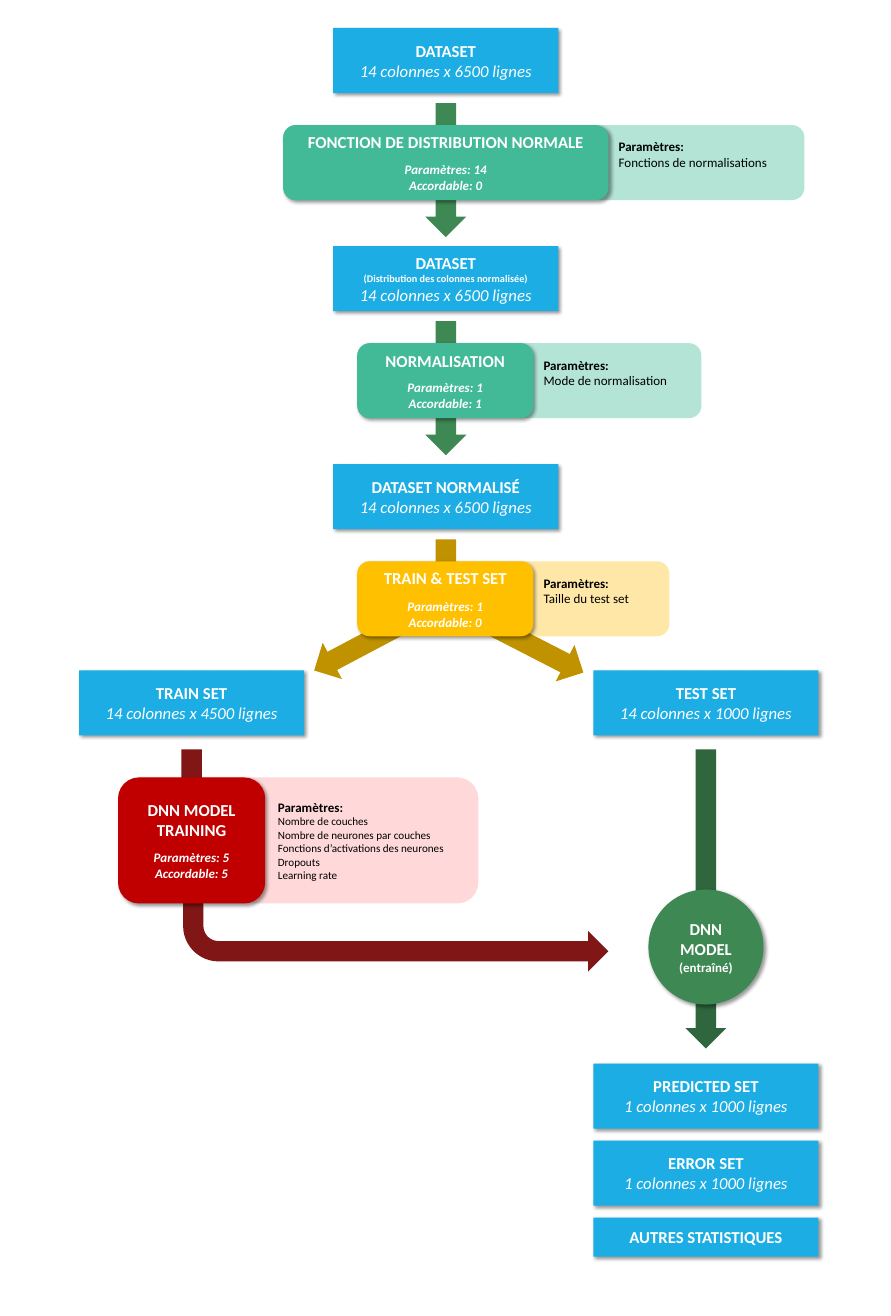
from lxml import etree
from pptx import Presentation
from pptx.dml.color import RGBColor
from pptx.enum.shapes import MSO_SHAPE
from pptx.enum.text import MSO_ANCHOR, PP_ALIGN
from pptx.oxml.ns import qn
from pptx.util import Inches, Pt

ROUNDED = MSO_SHAPE.ROUNDED_RECTANGLE
RECTANGLE = MSO_SHAPE.RECTANGLE
CIRCLE = MSO_SHAPE.FLOWCHART_CONNECTOR
DOWN_ARROW = MSO_SHAPE.DOWN_ARROW
BENT_ARROW = MSO_SHAPE.BENT_ARROW
MIDDLE = MSO_ANCHOR.MIDDLE
LEFT, CENTER = PP_ALIGN.LEFT, PP_ALIGN.CENTER

WHITE = RGBColor(0xFF, 0xFF, 0xFF)
BLACK = RGBColor(0x00, 0x00, 0x00)
BLUE = RGBColor(0x1C, 0xAD, 0xE4)
TEAL = RGBColor(0x42, 0xBA, 0x97)
PALE_TEAL = RGBColor(0xB3, 0xE4, 0xD6)
GREEN = RGBColor(0x3E, 0x88, 0x53)
DARK_GREEN = RGBColor(0x2F, 0x66, 0x3E)
GOLD = RGBColor(0xFF, 0xC0, 0x00)
PALE_GOLD = RGBColor(0xFF, 0xE8, 0xA7)
DARK_GOLD = RGBColor(0xC0, 0x92, 0x00)
RED = RGBColor(0xC0, 0x00, 0x00)
PALE_RED = RGBColor(0xFF, 0xD9, 0xD9)
DARK_RED = RGBColor(0x80, 0x16, 0x16)

FONT = "Calibri"
PX = 914400 / 66.8
ARROW_W = 41
DATA_W, DATA_H, STATS_H = 225, 65, 39
MAIN_X, TRAIN_X, TEST_X = 333, 79, 593
TOP, STAGE_STEP, SPLIT_Y = 28, 218, 670
RESULT_Y, RESULT_STEP = 1063, 77

# left, top, height, title, subtitle, size
DATA_SETS = [
    (MAIN_X, TOP, DATA_H, "DATASET", "", "14 colonnes x 6500 lignes"),
    (MAIN_X, TOP + STAGE_STEP, DATA_H, "DATASET",
     "(Distribution des colonnes normalisée)", "14 colonnes x 6500 lignes"),
    (MAIN_X, TOP + 2 * STAGE_STEP, DATA_H, "DATASET NORMALISÉ", "",
     "14 colonnes x 6500 lignes"),
    (TRAIN_X, SPLIT_Y, DATA_H, "TRAIN SET", "", "14 colonnes x 4500 lignes"),
    (TEST_X, SPLIT_Y, DATA_H, "TEST SET", "", "14 colonnes x 1000 lignes"),
    (TEST_X, RESULT_Y, DATA_H, "PREDICTED SET", "",
     "1 colonnes x 1000 lignes"),
    (TEST_X, RESULT_Y + RESULT_STEP, DATA_H, "ERROR SET", "",
     "1 colonnes x 1000 lignes"),
    (TEST_X, RESULT_Y + 2 * RESULT_STEP, STATS_H, "AUTRES STATISTIQUES",
     "", ""),
]

# note_drop is the room kept free under the note, gap the points under the title
STEPS = [
    dict(box=(283, 125, 325, 75), panel_right=804, fill=TEAL, pale=PALE_TEAL,
         title="FONCTION DE DISTRIBUTION NORMALE", counts=(14, 0), gap=10,
         notes=["Fonctions de normalisations"], note_size=14, note_drop=17),
    dict(box=(357, 343, 176, 75), panel_right=701, fill=TEAL, pale=PALE_TEAL,
         title="NORMALISATION", counts=(1, 1), gap=10,
         notes=["Mode de normalisation"], note_size=14, note_drop=16),
    dict(box=(357, 561, 176, 75), panel_right=669, fill=GOLD, pale=PALE_GOLD,
         title="TRAIN & TEST SET", counts=(1, 0), gap=12,
         notes=["Taille du test set"], note_size=14, note_drop=16),
    dict(box=(118, 777, 147, 126), panel_right=478, fill=RED, pale=PALE_RED,
         title="DNN MODEL TRAINING", counts=(5, 5), gap=10,
         notes=["Nombre de couches", "Nombre de neurones par couches",
                "Fonctions d’activations des neurones", "Dropouts",
                "Learning rate"], note_size=12, note_drop=0),
]

# left, top, length, rotation, colour
DOWN_ARROWS = [
    (685, 749, 299, 0, DARK_GREEN),
    (358, 563, 146, 62.1, DARK_GOLD),
    (494, 560, 154, 297.2, DARK_GOLD),
    (425, 539, 83, 0, DARK_GOLD),
    (425, 321, 134, 0, GREEN),
    (425, 103, 134, 0, GREEN),
    (171, 749, 148, 0, DARK_RED),
]
MODEL_ARROW = (183, 890, 425, 81)
MODEL = (648, 889, 115, 115)
MODEL_LINES = [("DNN MODEL", 18, True, False, 0),
               ("(entraîné)", 14, True, False, 0)]


def px(length):
    """Turn pixels into EMU."""
    return round(length * PX)


def add_block(kind, box, fill=None, rotation=0):
    """Add a flat shape without outline, clear when no fill is given."""
    block = slide.shapes.add_shape(kind, *map(px, box))
    if fill is None:
        block.fill.background()
    else:
        block.fill.solid()
        block.fill.fore_color.rgb = fill
    block.line.fill.background()
    block.shadow.inherit = False
    block.rotation = rotation
    return block


def cast_shadow(block):
    """Give a block its soft shadow to the lower right."""
    effects = block.element.spPr.find(qn("a:effectLst"))
    shadow = etree.SubElement(effects, qn("a:outerShdw"), blurRad=str(Pt(4)),
                              dist=str(Pt(3)), dir="2700000", algn="tl",
                              rotWithShape="0")
    color = etree.SubElement(shadow, qn("a:srgbClr"), val="000000")
    etree.SubElement(color, qn("a:alpha"), val="40000")


def write(block, lines, color, align):
    """Write lines of (text, size, bold, italic, points before)."""
    frame = block.text_frame
    frame.word_wrap = True
    frame.vertical_anchor = MIDDLE
    frame.margin_top = frame.margin_bottom = 0
    frame.text = "\n".join(line[0] for line in lines)
    for paragraph, (_, size, bold, italic, before) in zip(frame.paragraphs, lines):
        paragraph.alignment = align
        paragraph.space_before = Pt(before)
        font = paragraph.runs[0].font
        font.name, font.size = FONT, Pt(size)
        font.bold, font.italic = bold, italic
        font.color.rgb = color


def add_card(kind, box, fill, lines):
    """Add a shadowed block with centred white text."""
    card = add_block(kind, box, fill)
    cast_shadow(card)
    write(card, lines, WHITE, CENTER)


def add_panel(step):
    """Add the pale panel behind a step."""
    left, top, _, height = step["box"]
    add_block(ROUNDED, (left, top, step["panel_right"] - left, height),
              step["pale"])


def add_note(step):
    """List the parameters of a step on the free part of its panel."""
    left, top, width, height = step["box"]
    note_left = left + width
    note = add_block(ROUNDED,
                     (note_left, top, step["panel_right"] - note_left, height))
    lines = [("Paramètres:", 14, True, False, 0)]
    lines += [(item, step["note_size"], False, False, 0) for item in step["notes"]]
    write(note, lines, BLACK, LEFT)
    note.text_frame.margin_bottom = px(step["note_drop"])


def add_step(step):
    """Add the coloured box of a step with its parameter counts."""
    total, tunable = step["counts"]
    add_card(ROUNDED, step["box"], step["fill"], [
        (step["title"], 18, True, False, 0),
        (f"Paramètres: {total}", 14, True, True, step["gap"]),
        (f"Accordable: {tunable}", 14, True, True, 0)])


def add_data_set(left, top, height, title, subtitle, size):
    """Add a blue data box, leaving out lines without text."""
    lines = [(title, 18, True, False, 0), (subtitle, 11, True, False, 0),
             (size, 18, False, True, 0)]
    add_card(RECTANGLE, (left, top, DATA_W, height), BLUE,
             [line for line in lines if line[0]])


prs = Presentation()
prs.slide_width, prs.slide_height = Inches(13.33), Inches(19.69)
slide = prs.slides.add_slide(prs.slide_layouts[6])

for step in STEPS:
    add_panel(step)
for left, top, length, rotation, color in DOWN_ARROWS:
    add_block(DOWN_ARROW, (left, top, ARROW_W, length), color, rotation)
model_arrow = add_block(BENT_ARROW, MODEL_ARROW, DARK_RED, 180)
model_arrow.element.spPr.get_or_add_xfrm().set("flipH", "1")
for step in STEPS:
    add_step(step)
    add_note(step)
for data_set in DATA_SETS:
    add_data_set(*data_set)
add_card(CIRCLE, MODEL, GREEN, MODEL_LINES)

prs.save("out.pptx")
